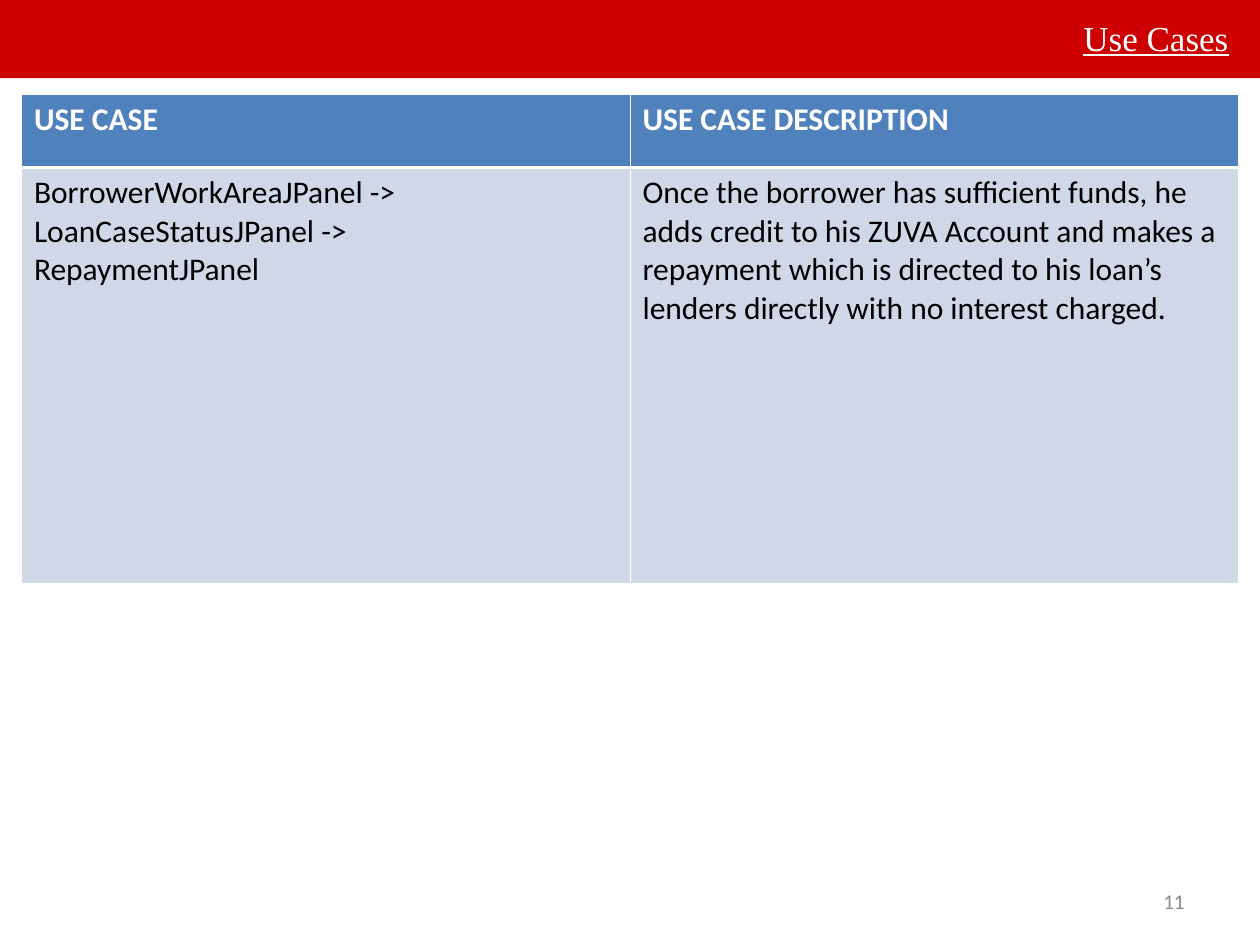
from dataclasses import dataclass

from lxml import etree
from pptx import Presentation
from pptx.dml.color import RGBColor
from pptx.enum import shapes, text
from pptx.oxml.ns import qn
from pptx.util import Inches, Pt

TITLE = "Use Cases"
PAGE_NUMBER = "11"
USE_CASES = [
    ("USE CASE", "USE CASE DESCRIPTION"),
    (
        "BorrowerWorkAreaJPanel ->\nLoanCaseStatusJPanel ->\nRepaymentJPanel",
        "Once the borrower has sufficient funds, he adds credit to his ZUVA "
        "Account and makes a repayment which is directed to his loan’s lenders "
        "directly with no interest charged.",
    ),
]
ROW_HEIGHTS = [0.58, 3.3]
COLUMN_WIDTH = 4.83


@dataclass(frozen=True)
class Theme:
    banner: str = "CD0002"
    header: str = "4F81BD"
    body: str = "D0D8E8"
    white: str = "FFFFFF"
    black: str = "000000"
    grey: str = "898989"
    title_font: str = "Times New Roman"
    body_font: str = "Calibri"
    title_size: int = 20
    table_size: int = 18
    number_size: int = 12
    thin: float = 0.45
    thick: float = 1.47


THEME = Theme()


def paint(fill, color):
    fill.solid()
    fill.fore_color.rgb = RGBColor.from_string(color)


def write(frame, words, font, size, color, bold=False, underline=False):
    frame.text = words
    frame.word_wrap = True
    for para in frame.paragraphs:
        for span in para.runs:
            span.font.name = font
            span.font.size = Pt(size)
            span.font.bold = bold
            span.font.underline = underline
            span.font.color.rgb = RGBColor.from_string(color)


def add_border(cell, side, width):
    """Draw a white line on one side of a cell: L, R, T or B, in that order."""
    properties = cell._tc.get_or_add_tcPr()
    line = etree.SubElement(properties, qn(f"a:ln{side}"), w=str(Pt(width)))
    fill = etree.SubElement(line, qn("a:solidFill"))
    etree.SubElement(fill, qn("a:srgbClr"), val=THEME.white)


def add_banner(page, width):
    banner = page.shapes.add_shape(
        shapes.MSO_SHAPE.RECTANGLE, 0, 0, width, Inches(0.62))
    banner.shadow.inherit = False
    paint(banner.fill, THEME.banner)
    banner.line.fill.background()


def add_use_case_table(page):
    columns = len(USE_CASES[0])
    table = page.shapes.add_table(
        len(USE_CASES), columns, Inches(0.17), Inches(0.75),
        Inches(COLUMN_WIDTH * columns), Inches(sum(ROW_HEIGHTS))).table
    for column in table.columns:
        column.width = Inches(COLUMN_WIDTH)
    for r, row in enumerate(USE_CASES):
        table.rows[r].height = Inches(ROW_HEIGHTS[r])
        heading = r == 0
        thick_side = "B" if heading else "T"
        for c, words in enumerate(row):
            cell = table.cell(r, c)
            for side in "LRTB":
                add_border(cell, side,
                           THEME.thick if side == thick_side else THEME.thin)
            paint(cell.fill, THEME.header if heading else THEME.body)
            write(cell.text_frame, words, THEME.body_font, THEME.table_size,
                  THEME.white if heading else THEME.black, bold=heading)


def add_title(page):
    box = page.shapes.add_textbox(
        Inches(8.5), Inches(0.08), Inches(1.42), Inches(0.44))
    write(box.text_frame, TITLE, THEME.title_font, THEME.title_size,
          THEME.white, underline=True)
    box.text_frame.auto_size = text.MSO_AUTO_SIZE.SHAPE_TO_FIT_TEXT


def add_page_number(page):
    box = page.shapes.add_textbox(
        Inches(7.17), Inches(6.95), Inches(2.33), Inches(0.4))
    write(box.text_frame, PAGE_NUMBER, THEME.body_font, THEME.number_size,
          THEME.grey)
    box.text_frame.vertical_anchor = text.MSO_ANCHOR.MIDDLE
    box.text_frame.paragraphs[0].alignment = text.PP_ALIGN.RIGHT


def main():
    deck = Presentation()
    deck.slide_width, deck.slide_height = Inches(10), Inches(7.5)
    page = deck.slides.add_slide(deck.slide_layouts[6])
    add_banner(page, deck.slide_width)
    add_page_number(page)
    add_title(page)
    add_use_case_table(page)
    deck.save("out.pptx")


if __name__ == "__main__":
    main()
